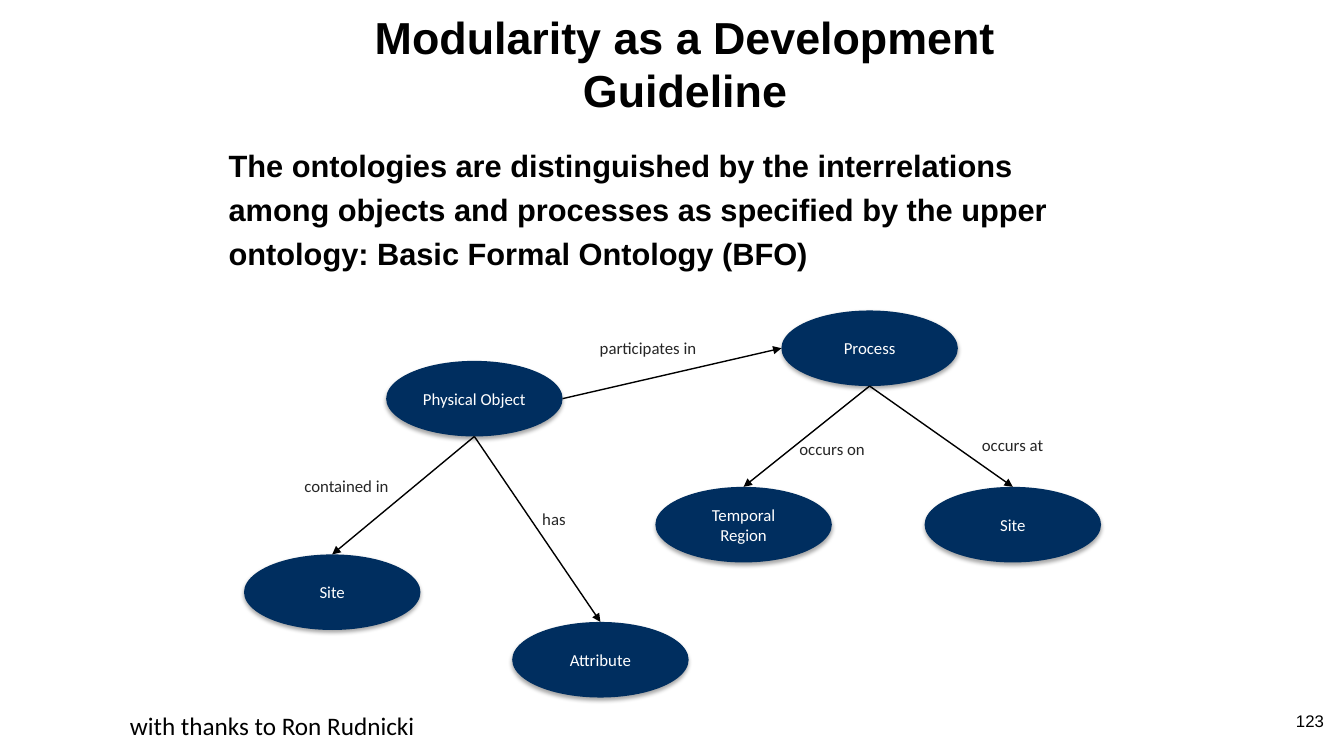
"""Build the slide on modularity as a development guideline."""
from lxml import etree
from pptx import Presentation
from pptx.dml.color import RGBColor
from pptx.enum import shapes, text
from pptx.oxml import parse_xml
from pptx.oxml.ns import qn
from pptx.util import Inches, Pt

NS = 'xmlns:a="http://schemas.openxmlformats.org/drawingml/2006/main"'
SHADOW = (f'<a:effectLst {NS}><a:outerShdw blurRad="{Pt(3.1)}" dist="{Pt(1.8)}" '
          'dir="5400000" rotWithShape="0"><a:srgbClr val="000000">'
          '<a:alpha val="35000"/></a:srgbClr></a:outerShdw></a:effectLst>')
ALIGN = text.PP_ALIGN
NODE_W, NODE_H = 1.75, 0.75


def color(value):
    return RGBColor.from_string(value)


def write(sp, words, size, font, fill, align=ALIGN.LEFT, bold=False, wrap=True):
    tf = sp.text_frame
    tf.text = words
    tf.word_wrap = wrap
    tf.auto_size = text.MSO_AUTO_SIZE.NONE if wrap else text.MSO_AUTO_SIZE.SHAPE_TO_FIT_TEXT
    p = tf.paragraphs[0]
    p.alignment = align
    r = p.runs[0]
    r.font.size, r.font.name, r.font.bold = Pt(size), font, bold
    r.font.color.rgb = color(fill)
    return p


prs = Presentation()
prs.slide_width, prs.slide_height = Inches(13.33), Inches(7.5)
s = prs.slides.add_slide(prs.slide_layouts[5])

title = s.shapes.title
title.left, title.top = Inches(2.67), Inches(0)
title.width, title.height = Inches(8.25), Inches(1.25)
write(title, "Modularity as a Development Guideline", 32, "Arial", "000000", ALIGN.CENTER, True)
title.text_frame.vertical_anchor = text.MSO_ANCHOR.MIDDLE

body = s.shapes.add_textbox(Inches(2.17), Inches(1.33), Inches(9), Inches(1.44))
p = write(body, "The ontologies are distinguished by the interrelations among objects and processes "
          "as specified by the upper ontology: Basic Formal Ontology (BFO)",
          22, "Arial", "000000", bold=True)
p.line_spacing = 1.2

nodes = {
    "object": ("Physical Object", 3.83, 3.58),
    "process": ("Process", 7.75, 3.08),
    "object site": ("Site", 2.42, 5.5),
    "attribute": ("Attribute", 5.08, 6.17),
    "region": ("Temporal Region", 6.5, 4.83),
    "process site": ("Site", 9.17, 4.83),
}
for name, x, y in nodes.values():
    sp = s.shapes.add_shape(shapes.MSO_SHAPE.OVAL, Inches(x), Inches(y),
                            Inches(NODE_W), Inches(NODE_H))
    sp.fill.solid()
    sp.fill.fore_color.rgb = color("002E5F")
    sp.line.fill.background()
    sp._element.spPr.append(parse_xml(SHADOW))
    write(sp, name, 12, "Calibri", "FFFFFF", ALIGN.CENTER)
    sp.text_frame.vertical_anchor = text.MSO_ANCHOR.MIDDLE

relations = [
    ("object", "process", "participates in", 5.85, 3.3, 1.17),
    ("object", "object site", "contained in", 2.92, 4.67, 1.05),
    ("object", "attribute", "has", 5.28, 5, 0.44),
    ("process", "region", "occurs on", 7.83, 4.3, 0.86),
    ("process", "process site", "occurs at", 9.64, 4.26, 0.82),
]
for source, target, label, x, y, w in relations:
    x1, y1 = nodes[source][1:]
    x2, y2 = nodes[target][1:]
    if y2 > y1:
        ends = x1 + NODE_W / 2, y1 + NODE_H, x2 + NODE_W / 2, y2
    else:
        ends = x1 + NODE_W, y1 + NODE_H / 2, x2, y2 + NODE_H / 2
    arrow = s.shapes.add_connector(shapes.MSO_CONNECTOR.STRAIGHT, *map(Inches, ends))
    arrow.line.color.rgb = color("000000")
    arrow.line.width = Pt(1)
    etree.SubElement(arrow.line._get_or_add_ln(), qn("a:tailEnd"), type="triangle")
    etree.SubElement(arrow._element.spPr, qn("a:effectLst"))
    sp = s.shapes.add_textbox(Inches(x), Inches(y), Inches(w), Inches(0.3))
    write(sp, label, 12, "Calibri", "262626", wrap=False)

thanks = s.shapes.add_textbox(Inches(1.19), Inches(7), Inches(3.06), Inches(0.4))
write(thanks, "with thanks to Ron Rudnicki", 18, "Calibri", "000000", wrap=False)

number = s.shapes.add_textbox(Inches(10.12), Inches(7), Inches(3.11), Inches(0.4))
write(number, "123", 12, "Arial", "000000", ALIGN.RIGHT)

prs.save("out.pptx")
